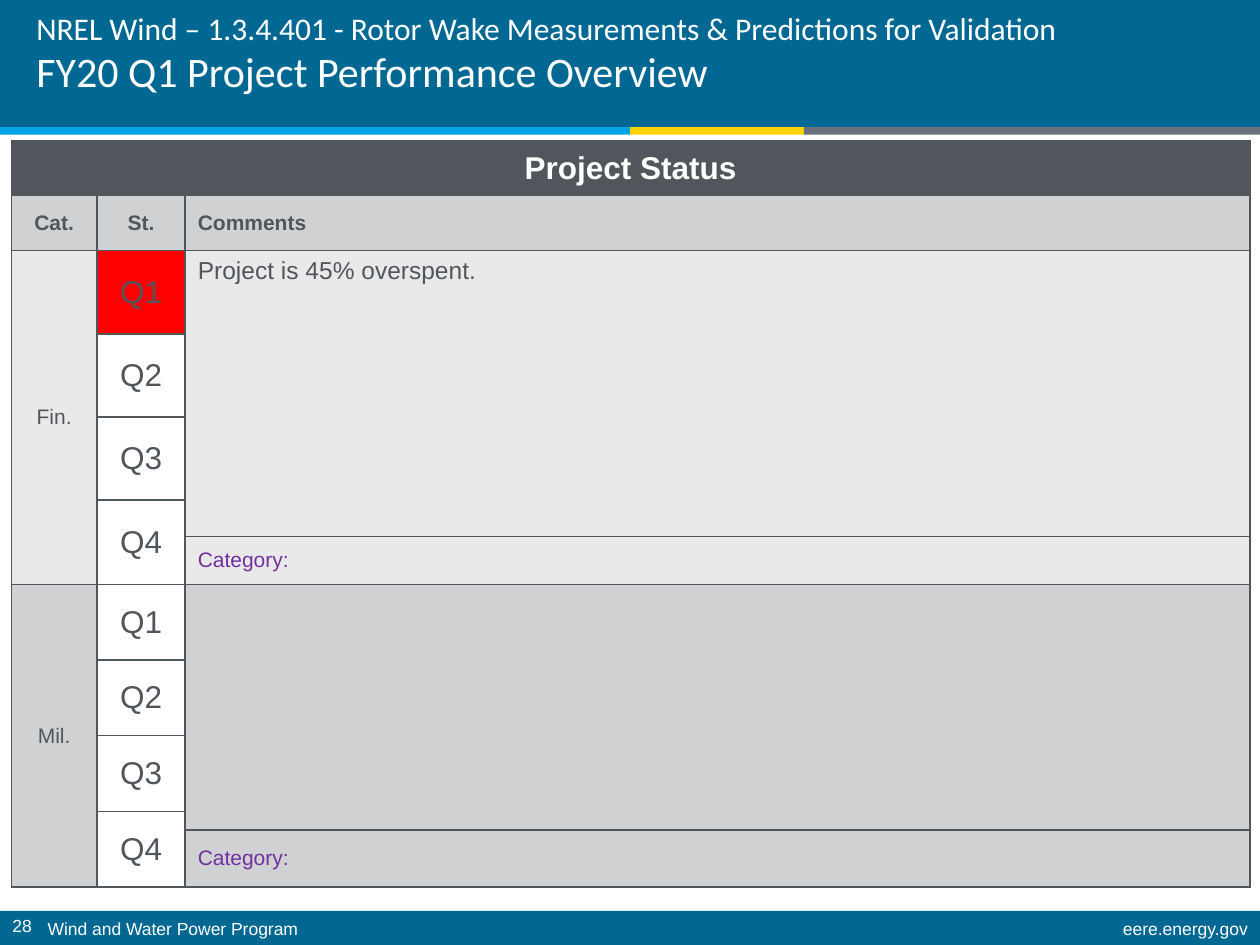
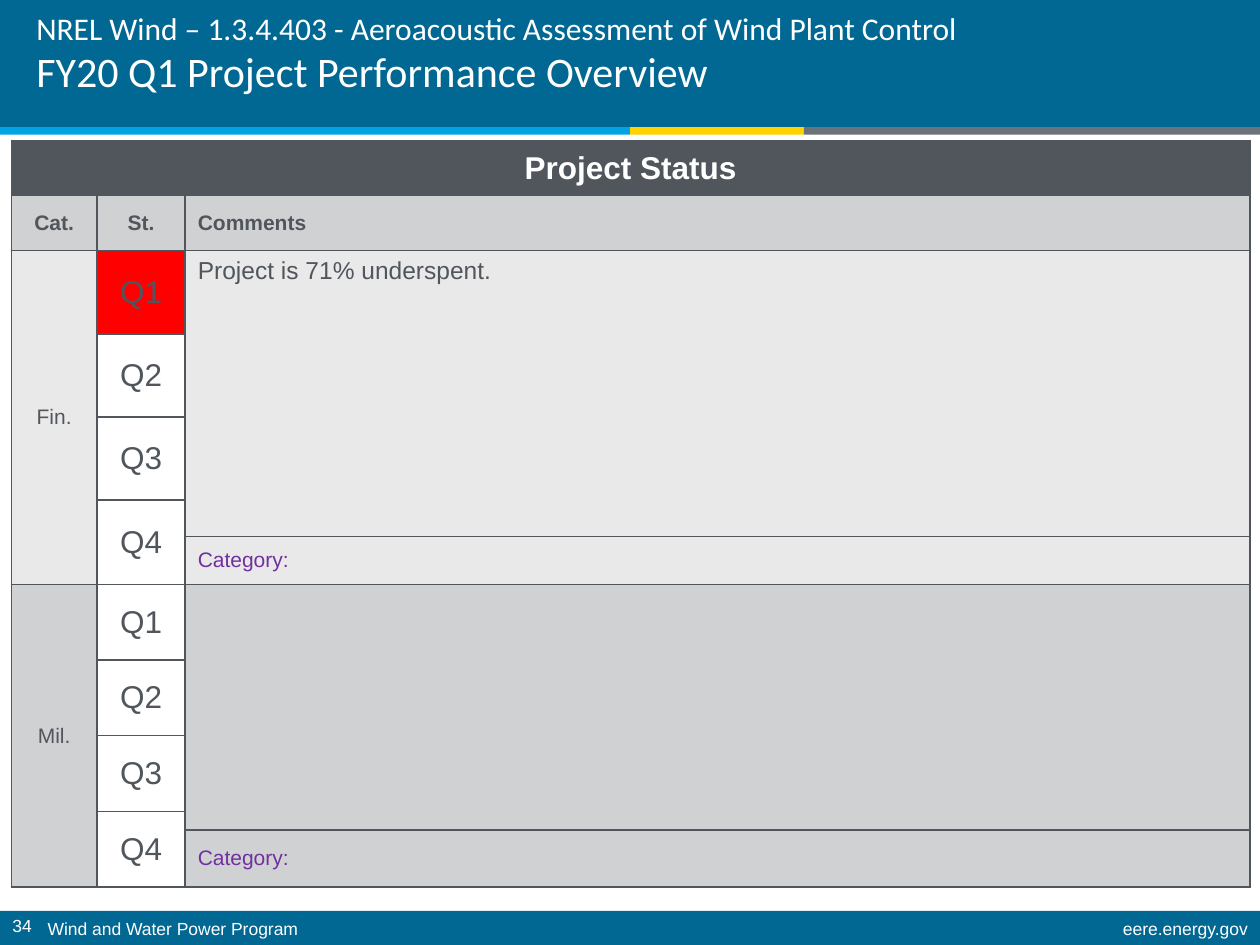
import lxml.etree
import pptx
import pptx.dml.color
import pptx.enum.shapes
import pptx.enum.text
import pptx.oxml.ns
import pptx.util

INCH = pptx.util.Inches
ALIGN = pptx.enum.text.PP_ALIGN
ANCHOR = pptx.enum.text.MSO_ANCHOR
WIDTH, HEIGHT = 10, 7.5

BLUE, SKY, YELLOW, STEEL = "006892", "00A4E4", "FFD200", "6A737B"
WHITE, SLATE, RED, PURPLE = "FFFFFF", "50565C", "FF0000", "7030A0"
LIGHT, MID = "E9E9EA", "D0D1D2"

HEADER, STRIPE, FOOTER = 1.01, 0.06, 0.27
FOOTER_TOP = HEIGHT - FOOTER
COLUMNS = [0.68, 0.7, 8.45]
ROWS = [0.43, 0.44] + [0.66] * 3 + [0.29, 0.38] + [0.6] * 3 + [0.15, 0.45]

# Left, top, width, height, colour
BANDS = [
    (0, 0, WIDTH, HEADER, BLUE),
    (0, FOOTER_TOP, WIDTH, FOOTER, BLUE),
    (0, HEADER, 5, STRIPE, SKY),
    (5, HEADER, 1.38, STRIPE, YELLOW),
    (6.38, HEADER, 3.62, STRIPE, STEEL),
]

# Page number, project, financial comment
PROJECTS = [
    ("28", "NREL Wind – 1.3.4.401 - Rotor Wake Measurements & Predictions for Validation",
     "Project is 45% overspent."),
    ("34", "NREL Wind – 1.3.4.403 - Aeroacoustic Assessment of Wind Plant Control",
     "Project is 71% underspent."),
]


def rgb(code):
    return pptx.dml.color.RGBColor.from_string(code)


def write(frame, text, size, colour, align=ALIGN.LEFT, bold=False, font="Arial"):
    """Put one paragraph in a text frame and return it."""
    para = frame.paragraphs[0]
    para.text = text
    para.alignment = align
    for span in para.runs:
        span.font.name = font
        span.font.size = pptx.util.Pt(size)
        span.font.bold = bold
        span.font.color.rgb = rgb(colour)
    return para


deck = pptx.Presentation()
deck.slide_width, deck.slide_height = INCH(WIDTH), INCH(HEIGHT)

for number, project, comment in PROJECTS:
    page = deck.slides.add_slide(deck.slide_layouts[6])

    for left, top, width, height, colour in BANDS:
        band = page.shapes.add_shape(
            pptx.enum.shapes.MSO_SHAPE.RECTANGLE,
            INCH(left), INCH(top), INCH(width), INCH(height))
        band.shadow.inherit = False
        band.fill.solid()
        band.fill.fore_color.rgb = rgb(colour)
        band.line.fill.background()

    for left, top, width, text, align in [
        (0.28, 7.24, 7.97, "Wind and Water Power Program", ALIGN.LEFT),
        (5.99, 7.24, 4.01, "eere.energy.gov", ALIGN.RIGHT),
        (0, 7.21, 0.43, number, ALIGN.LEFT),
    ]:
        box = page.shapes.add_textbox(INCH(left), INCH(top), INCH(width), INCH(FOOTER))
        box.text_frame.word_wrap = True
        write(box.text_frame, text, 10, WHITE, align)

    title = page.shapes.add_textbox(INCH(0.19), INCH(-0.06), INCH(8.36), INCH(0.87))
    title.text_frame.word_wrap = True
    title.text_frame.vertical_anchor = ANCHOR.MIDDLE
    para = write(title.text_frame, project + "\vFY20 Q1 Project Performance Overview",
                 24, WHITE, font="Calibri")
    para.line_spacing = pptx.util.Pt(28)
    para.runs[0].font.size = pptx.util.Pt(18)

    status = page.shapes.add_table(
        len(ROWS), len(COLUMNS), INCH(0.09), INCH(1.12),
        INCH(sum(COLUMNS)), INCH(sum(ROWS))).table
    status.first_row = status.horz_banding = False
    for column, width in zip(status.columns, COLUMNS):
        column.width = INCH(width)
    for row, height in zip(status.rows, ROWS):
        row.height = INCH(height)

    for cell in status.iter_cells():
        properties = cell._tc.get_or_add_tcPr()
        for side in ("lnL", "lnR", "lnT", "lnB"):
            border = lxml.etree.SubElement(
                properties, pptx.oxml.ns.qn("a:" + side), w=str(pptx.util.Pt(1)))
            paint = lxml.etree.SubElement(border, pptx.oxml.ns.qn("a:solidFill"))
            lxml.etree.SubElement(paint, pptx.oxml.ns.qn("a:srgbClr"), val=SLATE)

    # Row, column, rows spanned, columns spanned, text, size, colour, bold, fill
    entries = [
        (0, 0, 1, 3, "Project Status", 18, WHITE, True, SLATE),
        (1, 0, 1, 1, "Cat.", 12, SLATE, True, MID),
        (1, 1, 1, 1, "St.", 12, SLATE, True, MID),
        (1, 2, 1, 1, "Comments", 12, SLATE, True, MID),
    ]
    for first, category, remark, shade, first_quarter in [
        (2, "Fin.", comment, LIGHT, RED),
        (7, "Mil.", "", MID, None),
    ]:
        entries += [
            (first, 0, 5, 1, category, 12, SLATE, False, shade),
            (first, 2, 4, 1, remark, 14, SLATE, False, shade),
            (first + 4, 2, 1, 1, "Category:", 12, PURPLE, False, shade),
        ]
        for quarter in range(4):
            entries.append((first + quarter, 1, 2 if quarter == 3 else 1, 1,
                            f"Q{quarter + 1}", 18, SLATE, False,
                            None if quarter else first_quarter))

    for row, column, tall, wide, text, size, colour, bold, fill in entries:
        cell = status.cell(row, column)
        if tall * wide > 1:
            cell.merge(status.cell(row + tall - 1, column + wide - 1))
        is_remark = column == 2 and tall > 1
        cell.vertical_anchor = ANCHOR.TOP if is_remark else ANCHOR.MIDDLE
        if row and column < 2:
            cell.margin_left = 0
        if row and (column < 2 or text == "Category:"):
            cell.margin_right = cell.margin_top = cell.margin_bottom = 0
        if fill:
            cell.fill.solid()
            cell.fill.fore_color.rgb = rgb(fill)
        else:
            cell.fill.background()
        write(cell.text_frame, text, size, colour,
              ALIGN.LEFT if column == 2 else ALIGN.CENTER, bold)

deck.save("out.pptx")
